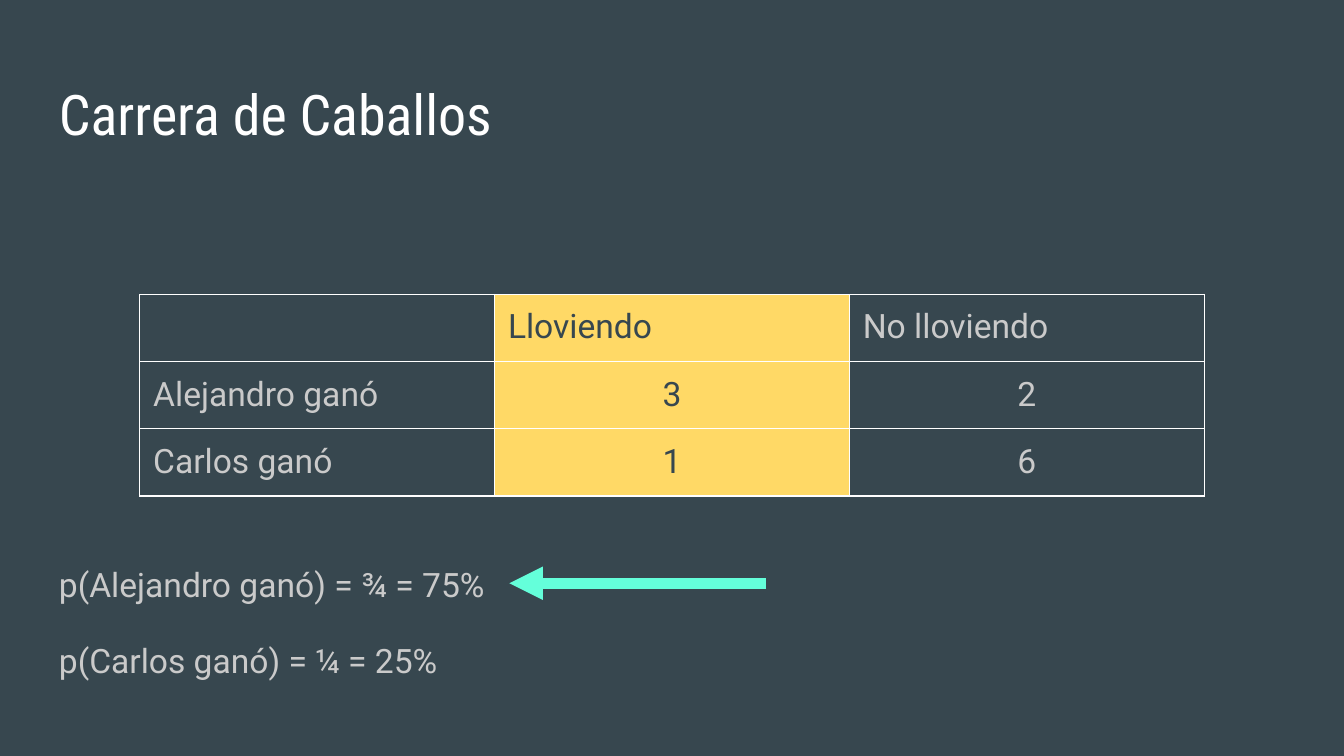
from lxml import etree
from pptx import Presentation
from pptx.dml.color import RGBColor
from pptx.enum.shapes import MSO_CONNECTOR
from pptx.enum.text import PP_ALIGN
from pptx.oxml.ns import qn
from pptx.util import Inches, Pt

STRAIGHT = MSO_CONNECTOR.STRAIGHT
LEFT, CENTER = PP_ALIGN.LEFT, PP_ALIGN.CENTER

COLORS = {
    "background": "37474F",
    "title": "FFFFFF",
    "text": "CACACA",
    "highlight": "FFD966",
    "border": "FFFFFF",
    "arrow": "64FFDA",
}
TITLE = "Carrera de Caballos"
RESULTS = [
    ["", "Lloviendo", "No lloviendo"],
    ["Alejandro ganó", "3", "2"],
    ["Carlos ganó", "1", "6"],
]
HIGHLIGHTED_COLUMN = 1
PROBABILITIES = ["p(Alejandro ganó) = ¾ = 75%", "p(Carlos ganó) = ¼ = 25%"]

SLIDE_WIDTH = 10
SLIDE_HEIGHT = SLIDE_WIDTH * 9 / 16
MARGIN = Inches(0.1)
COLUMN_WIDTH, ROW_HEIGHT = 2.64, 0.42
BORDER_WIDTH = Pt(0.75)


def rgb(name):
    return RGBColor.from_string(COLORS[name])


def style(paragraph, color, size=18, name="Roboto"):
    paragraph.font.size = Pt(size)
    paragraph.font.name = name
    paragraph.font.color.rgb = rgb(color)


def add_text(slide, lines, top, height):
    """Add a full-width text box and return its paragraphs."""
    box = slide.shapes.add_textbox(Inches(0.34), Inches(top), Inches(9.32), Inches(height))
    frame = box.text_frame
    frame.word_wrap = True
    frame.margin_left = frame.margin_right = MARGIN
    frame.margin_top = frame.margin_bottom = MARGIN
    frame.text = "\n".join(lines)
    return frame.paragraphs


def add_borders(cell):
    properties = cell._tc.get_or_add_tcPr()
    for side in ("a:lnL", "a:lnR", "a:lnT", "a:lnB"):
        line = etree.SubElement(properties, qn(side), w=str(BORDER_WIDTH))
        fill = etree.SubElement(line, qn("a:solidFill"))
        etree.SubElement(fill, qn("a:srgbClr"), val=COLORS["border"])


def add_results(slide):
    rows, columns = len(RESULTS), len(RESULTS[0])
    table = slide.shapes.add_table(
        rows, columns, Inches(1.04), Inches(2.19),
        Inches(columns * COLUMN_WIDTH), Inches(rows * ROW_HEIGHT),
    ).table
    for row_index, row in enumerate(RESULTS):
        for column_index, text in enumerate(row):
            cell = table.cell(row_index, column_index)
            cell.margin_left = cell.margin_right = MARGIN
            cell.margin_top = cell.margin_bottom = MARGIN
            add_borders(cell)
            highlighted = column_index == HIGHLIGHTED_COLUMN
            if highlighted:
                cell.fill.solid()
                cell.fill.fore_color.rgb = rgb("highlight")
            else:
                cell.fill.background()
            cell.text = text
            paragraph = cell.text_frame.paragraphs[0]
            paragraph.alignment = CENTER if text.isdigit() else LEFT
            style(paragraph, "background" if highlighted else "text")
            paragraph.font.bold = False


def add_arrow(slide):
    arrow = slide.shapes.add_connector(
        STRAIGHT, Inches(3.79), Inches(4.34), Inches(5.7), Inches(4.34)
    )
    arrow.line.color.rgb = rgb("arrow")
    arrow.line.width = Pt(6)
    etree.SubElement(arrow.line._get_or_add_ln(), qn("a:headEnd"), type="triangle")
    etree.SubElement(arrow._element.spPr, qn("a:effectLst"))


def main():
    presentation = Presentation()
    presentation.slide_width = Inches(SLIDE_WIDTH)
    presentation.slide_height = Inches(SLIDE_HEIGHT)
    slide = presentation.slides.add_slide(presentation.slide_layouts[6])
    slide.background.fill.solid()
    slide.background.fill.fore_color.rgb = rgb("background")

    style(add_text(slide, [TITLE], 0.49, 0.63)[0], "title", 30, "Roboto Condensed")

    for index, paragraph in enumerate(add_text(slide, PROBABILITIES, 4.05, 0.95)):
        paragraph.line_spacing = 1.15
        paragraph.space_before = Pt(16 if index else 0)
        style(paragraph, "text")

    add_results(slide)
    add_arrow(slide)
    presentation.save("out.pptx")


if __name__ == "__main__":
    main()
